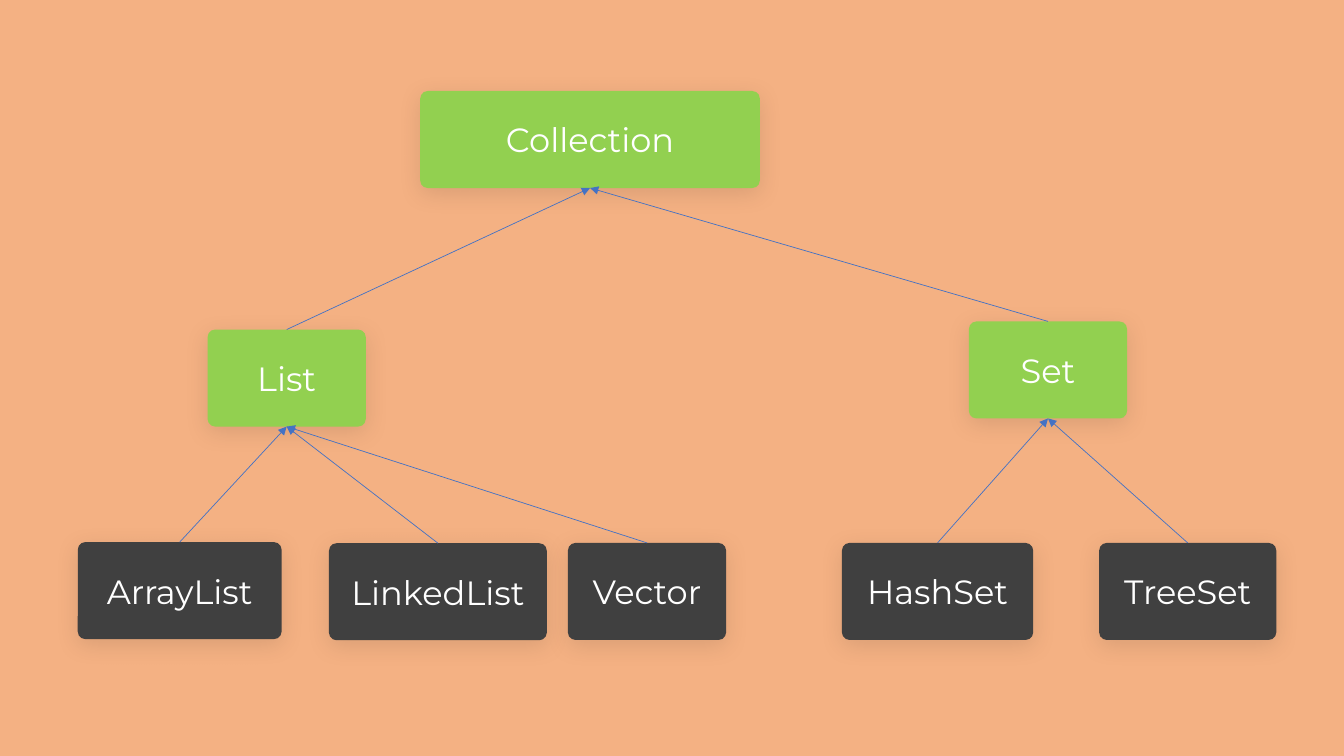
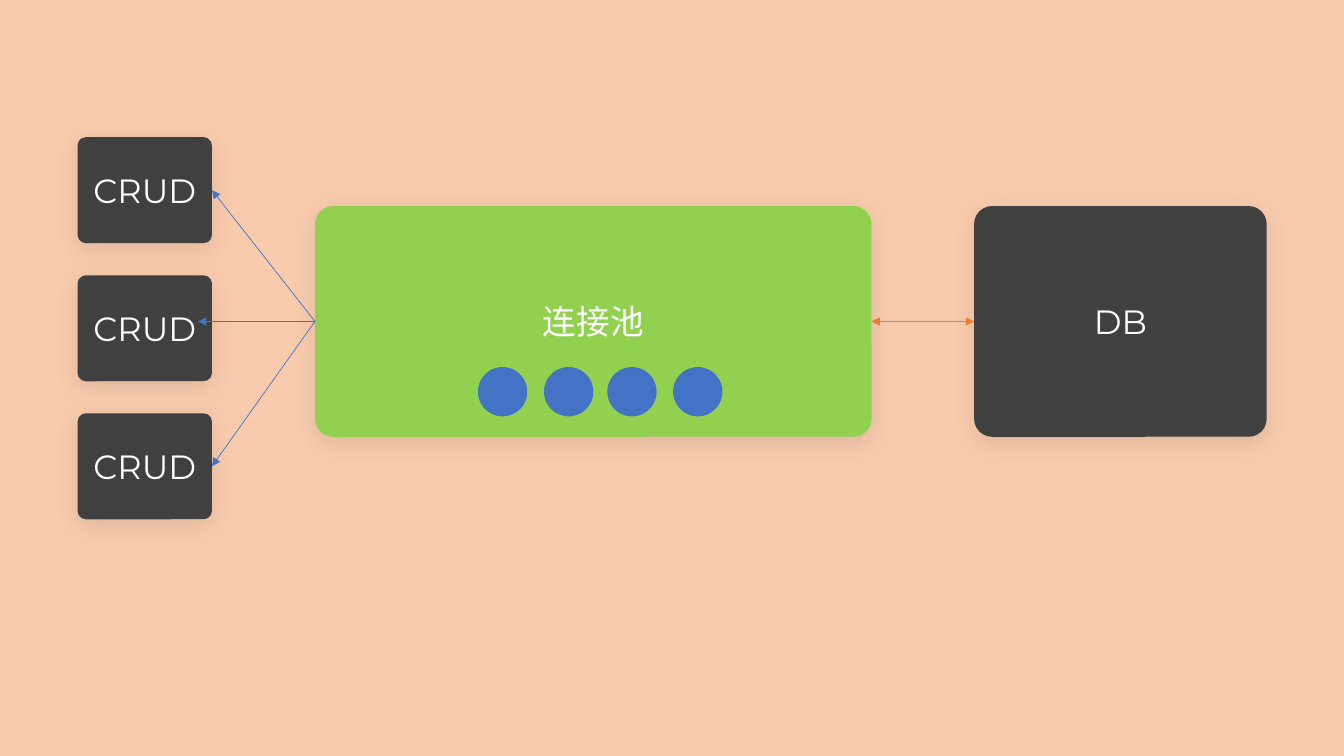
from lxml.etree import SubElement
from pptx import Presentation
from pptx.dml.color import RGBColor
from pptx.enum.shapes import MSO_CONNECTOR as CONN, MSO_SHAPE as SHAPE
from pptx.enum.text import MSO_ANCHOR as ANCHOR, PP_ALIGN as ALIGN
from pptx.oxml.ns import qn
from pptx.util import Pt

# Shared look
GREEN = RGBColor(0x92, 0xD0, 0x50)
DARK = RGBColor(0x40, 0x40, 0x40)
BLUE = RGBColor(0x44, 0x72, 0xC4)
ORANGE = RGBColor(0xED, 0x7D, 0x31)
WHITE = RGBColor(0xFF, 0xFF, 0xFF)
PEACH = RGBColor(0xF4, 0xB1, 0x83)
PALE_PEACH = RGBColor(0xF8, 0xCB, 0xAD)
LABEL = {"size": Pt(24), "name": "Montserrat"}
SHADOW = {"blurRad": Pt(17), "dist": Pt(4), "dir": 90 * 60000,
          "algn": "t", "rotWithShape": 0}
SHADOW_ALPHA = 9000
CORNER = 0.078
TOP, LEFT, BOTTOM, RIGHT = range(4)  # connection sites of a box

# Class tree: name, parent, centre x, top, width, fill
NODE_H = 69.3
NODES = [
    ("Collection", None, 421.5, 65, 242.6, GREEN),
    ("List", "Collection", 204.8, 235.4, 113, GREEN),
    ("Set", "Collection", 748.6, 229.6, 113, GREEN),
    ("ArrayList", "List", 128.4, 387.2, 145.6, DARK),
    ("LinkedList", "List", 312.8, 388, 155.6, DARK),
    ("Vector", "List", 462.2, 387.8, 113, DARK),
    ("HashSet", "Set", 669.7, 387.8, 136.6, DARK),
    ("TreeSet", "Set", 848.4, 387.8, 126.5, DARK),
]

# Connection pool: boxes as left, top, width, height
POOL = ("连接池", (225, 147.2, 397.5, 164.8), GREEN)
DB = ("DB", (695.8, 147.2, 209, 164.8), DARK)
CLIENTS = ["CRUD"] * 3
CLIENT_X, CLIENT_Y, CLIENT_W, CLIENT_H, CLIENT_STEP = 55.4, 98, 96, 75.7, 98.6
MIDDLE_TIP = (141.5, 229.6)
DOT_XS, DOT_Y, DOT_D = (341.4, 388.6, 433.8, 480.8), 262.2, 35.2

prs = Presentation()
prs.slide_width, prs.slide_height = Pt(960), Pt(540)


def add_slide(color):
    s = prs.slides.add_slide(prs.slide_layouts[6])
    fill = s.background.fill
    fill.solid()
    fill.fore_color.rgb = color
    return s


def add_shape(s, kind, at, color):
    sp = s.shapes.add_shape(kind, *(Pt(v) for v in at))
    sp.shadow.inherit = False
    sp.fill.solid()
    sp.fill.fore_color.rgb = color
    sp.line.fill.background()
    return sp


def add_box(s, text, at, color):
    sp = add_shape(s, SHAPE.ROUNDED_RECTANGLE, at, color)
    sp.adjustments[0] = CORNER
    # Soft shadow below the box
    effects = sp._element.spPr.find(qn("a:effectLst"))
    shadow = SubElement(effects, qn("a:outerShdw"),
                        {k: str(v) for k, v in SHADOW.items()})
    black = SubElement(shadow, qn("a:srgbClr"), val="000000")
    SubElement(black, qn("a:alpha"), val=str(SHADOW_ALPHA))
    # Label
    tf = sp.text_frame
    tf.vertical_anchor = ANCHOR.MIDDLE
    p = tf.paragraphs[0]
    p.alignment = ALIGN.CENTER
    r = p.add_run()
    r.text = text
    for key, value in LABEL.items():
        setattr(r.font, key, value)
    r.font.color.rgb = WHITE
    return sp


def add_arrow(s, start, end, color=BLUE, ends=("tailEnd",)):
    """Join two (box, site) pairs; an end may also be an (x, y) point."""
    line = s.shapes.add_connector(CONN.STRAIGHT, 0, 0, 0, 0)
    line.begin_connect(*start)
    if isinstance(end[0], float):
        line.end_x, line.end_y = (Pt(v) for v in end)
    else:
        line.end_connect(*end)
    line.line.color.rgb = color
    line.line.width = Pt(0.5)
    for tag in ends:
        SubElement(line.line._get_or_add_ln(), qn("a:" + tag), type="triangle")
    SubElement(line._element.spPr, qn("a:effectLst"))


# Slide 1: class tree
s = add_slide(PEACH)
boxes = {name: add_box(s, name, (cx - w / 2, top, w, NODE_H), color)
         for name, _, cx, top, w, color in NODES}
for name, parent, *_ in NODES:
    if parent:
        add_arrow(s, (boxes[name], TOP), (boxes[parent], BOTTOM))

# Slide 2: connection pool
s = add_slide(PALE_PEACH)
pool = add_box(s, *POOL)
for x in DOT_XS:
    add_shape(s, SHAPE.OVAL, (x, DOT_Y, DOT_D, DOT_D), BLUE)
db = add_box(s, *DB)
clients = [add_box(s, text, (CLIENT_X, CLIENT_Y + i * CLIENT_STEP,
                             CLIENT_W, CLIENT_H), DARK)
           for i, text in enumerate(CLIENTS)]
first, _, last = clients
for tip in ((first, RIGHT), MIDDLE_TIP, (last, RIGHT)):
    add_arrow(s, (pool, LEFT), tip)
add_arrow(s, (pool, RIGHT), (db, LEFT), ORANGE, ("headEnd", "tailEnd"))

prs.save("out.pptx")
